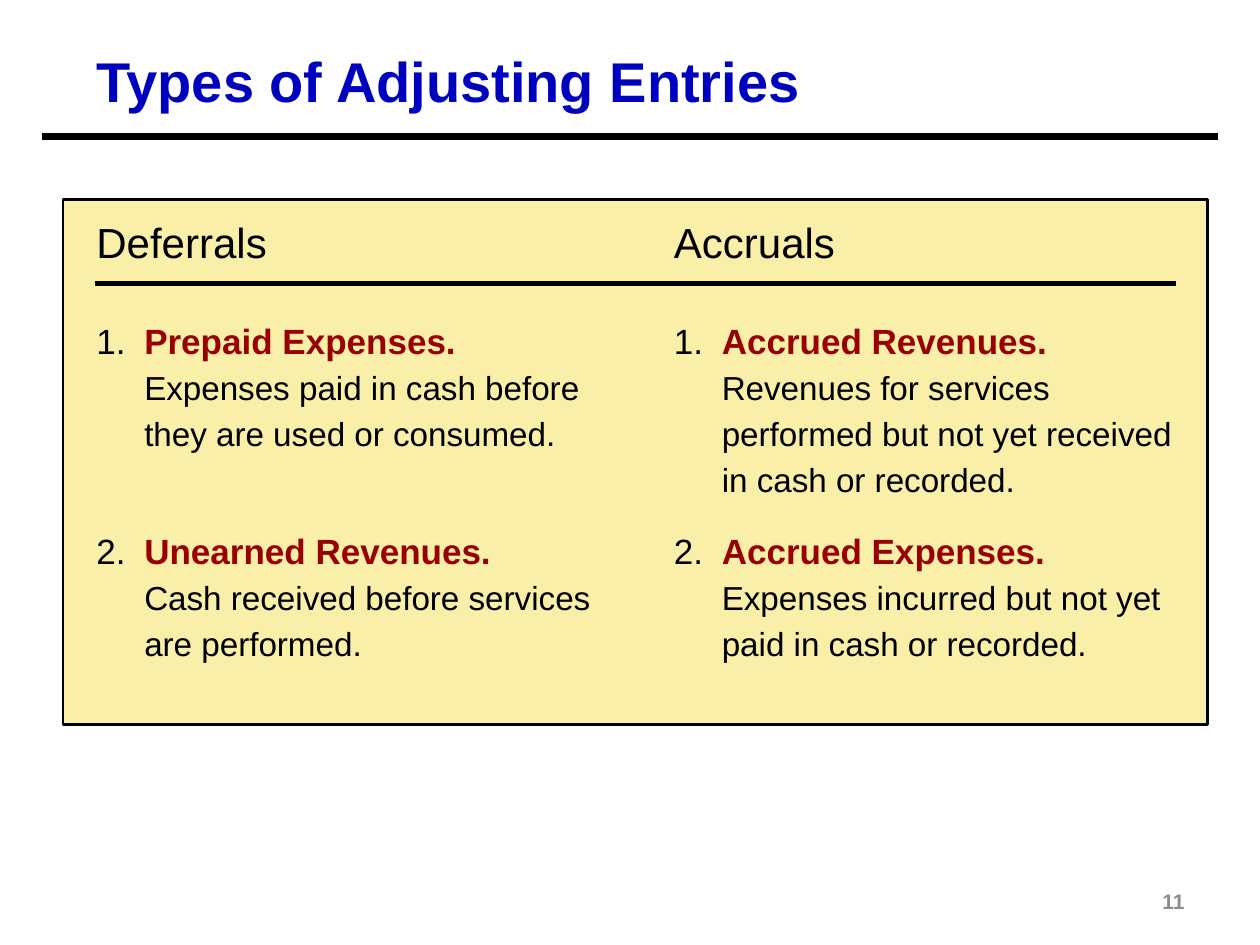
from lxml.etree import SubElement
from pptx import Presentation
from pptx.dml.color import RGBColor
from pptx.enum.shapes import MSO_CONNECTOR, MSO_SHAPE
from pptx.enum.text import MSO_ANCHOR, MSO_AUTO_SIZE, PP_ALIGN
from pptx.oxml.ns import qn
from pptx.util import Inches, Pt

CELL = Inches(1) // 12
BLACK, BLUE, RED, GREY, CREAM = "000000", "0000BF", "990000", "8C8C8C", "F9EFA9"
COLUMN_STARTS = (8, 63)
ENTRY_ROWS = (28, 48)
TOPICS = (
    ("Deferrals", (
        ("Prepaid Expenses.", "Expenses paid in cash before they are used or consumed."),
        ("Unearned Revenues.", "Cash received before services are performed."),
    )),
    ("Accruals", (
        ("Accrued Revenues.",
         "Revenues for services performed but not yet received in cash or recorded."),
        ("Accrued Expenses.", "Expenses incurred but not yet paid in cash or recorded."),
    )),
)


def color(value):
    return RGBColor.from_string(value)


def grid(*cells):
    return [round(cell * CELL) for cell in cells]


def write(paragraph, text, size=20, fill=BLACK, bold=False):
    run = paragraph.add_run()
    run.text = text
    run.font.name = "Arial"
    run.font.size = Pt(size)
    run.font.bold = bold
    run.font.color.rgb = color(fill)


def add_label(slide, cells, text, align=PP_ALIGN.LEFT, **style):
    frame = slide.shapes.add_textbox(*grid(*cells)).text_frame
    frame.word_wrap = True
    frame.vertical_anchor = MSO_ANCHOR.MIDDLE
    frame.paragraphs[0].alignment = align
    write(frame.paragraphs[0], text, **style)


def add_title(slide, cells, text):
    title = slide.shapes.title
    title.left, title.top, title.width, title.height = grid(*cells)
    frame = title.text_frame
    frame.auto_size = MSO_AUTO_SIZE.NONE
    frame.vertical_anchor = MSO_ANCHOR.MIDDLE
    frame.paragraphs[0].alignment = PP_ALIGN.LEFT
    write(frame.paragraphs[0], text, size=32, fill=BLUE, bold=True)


def add_panel(slide, cells):
    panel = slide.shapes.add_shape(MSO_SHAPE.RECTANGLE, *grid(*cells))
    panel.shadow.inherit = False
    panel.fill.solid()
    panel.fill.fore_color.rgb = color(CREAM)
    panel.line.color.rgb = color(BLACK)
    panel.line.width = Pt(1.5)


def add_rule(slide, start, end, row, weight):
    rule = slide.shapes.add_connector(MSO_CONNECTOR.STRAIGHT, *grid(start, row, end, row))
    rule.line.color.rgb = color(BLACK)
    rule.line.width = Pt(weight)
    SubElement(rule.element.spPr, qn("a:effectLst"))


def add_entry(slide, column, row, number, name, meaning):
    frame = slide.shapes.add_textbox(*grid(column, row, 50, 21)).text_frame
    frame.word_wrap = True
    frame.margin_top = Inches(0.15)
    entry = frame.paragraphs[0]
    entry.line_spacing = 1.15
    indent = Inches(0.38)
    properties = entry._p.get_or_add_pPr()
    properties.set("marL", str(indent))
    properties.set("indent", str(-indent))
    write(entry, f"{number}.\t")
    write(entry, name, fill=RED, bold=True)
    entry.add_line_break()
    write(entry, meaning, size=19)


def main():
    deck = Presentation()
    deck.slide_width, deck.slide_height = grid(120, 90)
    slide = deck.slides.add_slide(deck.slide_layouts[5])
    add_panel(slide, (6, 19, 109, 50))
    add_title(slide, (8, 4, 108, 7.3), "Types of Adjusting Entries")
    add_rule(slide, 4, 116, 13, 4.5)
    for column, (topic, entries) in zip(COLUMN_STARTS, TOPICS):
        add_label(slide, (column, 20, 38, 6), topic, size=24)
        for number, (row, entry) in enumerate(zip(ENTRY_ROWS, entries), 1):
            add_entry(slide, column, row, number, *entry)
    add_rule(slide, 9, 112, 27, 3)
    add_label(slide, (86, 83.4, 28, 4.8), "11", align=PP_ALIGN.RIGHT,
              size=12, fill=GREY, bold=True)
    deck.save("out.pptx")


if __name__ == "__main__":
    main()
